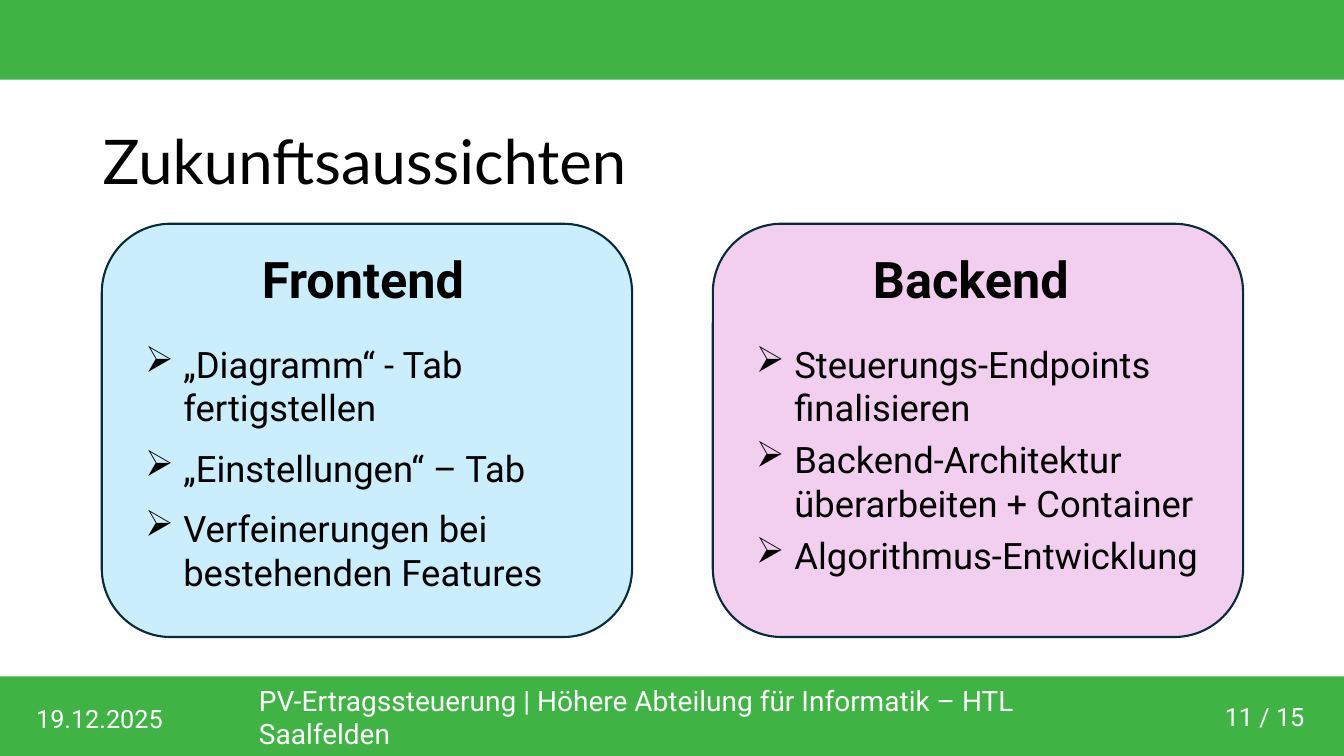
import pptx
import pptx.dml.color
import pptx.enum.shapes
import pptx.enum.text
import pptx.util
from lxml import etree
from pptx.util import Inches

COLORS = {
    "band": "3FB445",
    "frontend": "CAEEFB",
    "backend": "F2CFEE",
    "outline": "092A39",
    "text": "000000",
    "footer": "FFFFFF",
}
TOP = pptx.enum.text.MSO_ANCHOR.TOP
MIDDLE = pptx.enum.text.MSO_ANCHOR.MIDDLE
SHAPES = pptx.enum.shapes.MSO_SHAPE
PANEL_TOP, PANEL_WIDTH, PANEL_HEIGHT = 2.22, 5.26, 4.1
FIRST_PANEL_LEFT, PANEL_STEP = 1.01, 6.06
PANELS = [
    ("Frontend", "frontend", 4.44, 12, [
        "„Diagramm“ - Tab fertigstellen",
        "„Einstellungen“ – Tab",
        "Verfeinerungen bei bestehenden Features",
    ]),
    ("Backend", "backend", 4.73, 6, [
        "Steuerungs-Endpoints finalisieren",
        "Backend-Architektur überarbeiten + Container",
        "Algorithmus-Entwicklung",
    ]),
]


def rgb(color):
    """Return the named colour."""
    return pptx.dml.color.RGBColor.from_string(COLORS[color])


def add_block(slide, kind, left, top, width, height, fill):
    """Add a filled, unlined shape without shadow."""
    block = slide.shapes.add_shape(
        kind, Inches(left), Inches(top), Inches(width), Inches(height))
    block.shadow.inherit = False
    block.fill.solid()
    block.fill.fore_color.rgb = rgb(fill)
    block.line.fill.background()
    return block


def style(paragraph, size, font="Roboto", color="text", bold=False):
    """Set the font of a whole paragraph."""
    paragraph.font.name = font
    paragraph.font.size = pptx.util.Pt(size)
    paragraph.font.bold = bold
    paragraph.font.color.rgb = rgb(color)


def add_frame(slide, left, top, width, height, anchor=TOP):
    """Add a wrapping text box and return its text frame."""
    frame = slide.shapes.add_textbox(
        Inches(left), Inches(top), Inches(width), Inches(height)).text_frame
    frame.word_wrap = True
    frame.vertical_anchor = anchor
    return frame


def add_label(slide, text, left, top, width, height, size, anchor=TOP, **font):
    """Add a one-paragraph text and return the paragraph."""
    label = add_frame(slide, left, top, width, height, anchor).paragraphs[0]
    label.text = text
    style(label, size, **font)
    return label


def add_arrow_bullet(paragraph):
    """Give a paragraph a hanging arrow bullet."""
    properties = paragraph._p.get_or_add_pPr()
    properties.set("marL", str(Inches(0.38)))
    properties.set("indent", str(Inches(-0.38)))
    bullet = etree.SubElement(properties, pptx.oxml.ns.qn("a:buChar"))
    bullet.set("char", "➢")


def add_goals(slide, goals, left, width, gap):
    """Add the bulleted goals of a panel."""
    frame = add_frame(slide, left, 3.34, width, 2.63)
    for index, goal in enumerate(goals):
        paragraph = frame.add_paragraph() if index else frame.paragraphs[0]
        paragraph.text = goal
        add_arrow_bullet(paragraph)
        if index:
            paragraph.space_before = pptx.util.Pt(gap)
        style(paragraph, 26)


def add_panel(slide, left, heading, fill, goals_width, gap, goals):
    """Add a rounded panel with its heading and goals."""
    panel = add_block(slide, SHAPES.ROUNDED_RECTANGLE,
                      left, PANEL_TOP, PANEL_WIDTH, PANEL_HEIGHT, fill)
    panel.line.color.rgb = rgb("outline")
    panel.line.width = pptx.util.Pt(1.5)
    add_label(slide, heading, left + 1.49, 2.41, 2.28, 0.71, 36, bold=True)
    add_goals(slide, goals, left + 0.33, goals_width, gap)


def main():
    """Build and save the outlook slide."""
    presentation = pptx.Presentation()
    presentation.slide_width = Inches(13.33)
    presentation.slide_height = Inches(7.5)
    slide = presentation.slides.add_slide(presentation.slide_layouts[6])

    for band_top in (0, 6.71):
        add_block(slide, SHAPES.RECTANGLE, 0, band_top, 13.33, 0.79, "band")
    add_label(slide, "PV-Ertragssteuerung | Höhere Abteilung für Informatik – HTL Saalfelden",
              2.47, 6.91, 8.84, 0.4, 20, MIDDLE, color="footer")
    add_label(slide, "11 / 15", 12.05, 6.91, 1.13, 0.4, 18, color="footer")
    add_label(slide, "19.12.2025", 0.26, 6.93, 1.48, 0.4, 18, MIDDLE, color="footer")

    title = add_label(slide, "Zukunftsaussichten", 0.92, 1.18, 11.5, 0.91, 44, MIDDLE, font="Lato")
    title.line_spacing = 0.9
    for index, panel in enumerate(PANELS):
        add_panel(slide, FIRST_PANEL_LEFT + index * PANEL_STEP, *panel)

    presentation.save("out.pptx")


if __name__ == "__main__":
    main()
